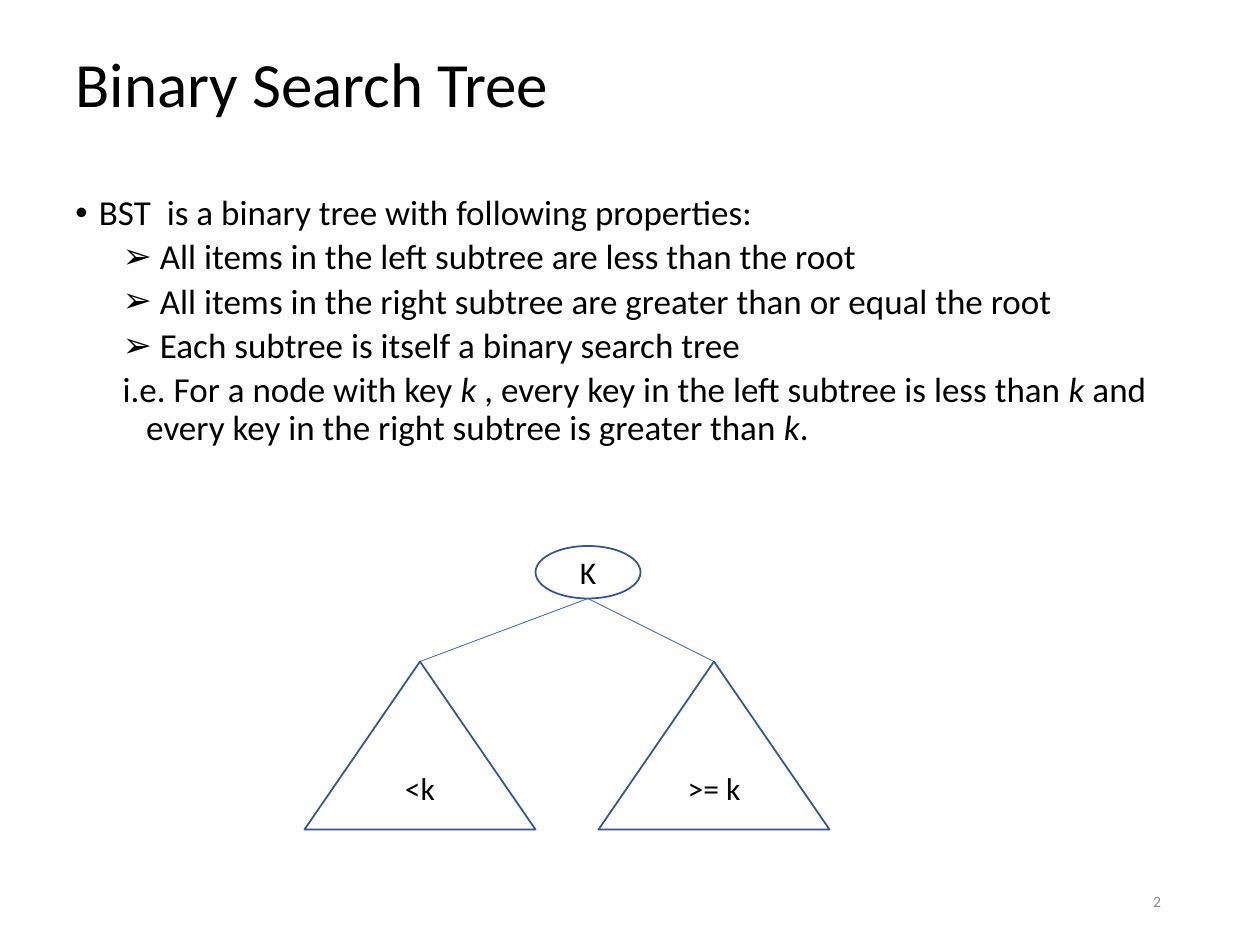
import collections

import pptx
import pptx.dml.color
import pptx.enum.shapes
import pptx.enum.text
import pptx.oxml.ns
import pptx.util
from lxml import etree

Pt = pptx.util.Pt
Align = pptx.enum.text.PP_ALIGN
Anchor = pptx.enum.text.MSO_ANCHOR
Shape = pptx.enum.shapes.MSO_SHAPE
Color = pptx.dml.color.RGBColor
qn = pptx.oxml.ns.qn

BLACK = Color(0x00, 0x00, 0x00)
GRAY = Color(0x8C, 0x8C, 0x8C)
OUTLINE = Color(0x32, 0x54, 0x91)
BRANCH = Color(0x44, 0x72, 0xC4)
FONT = "Calibri"

Box = collections.namedtuple("Box", "left top width height")

PROPERTIES = [
    (0, "•", ["BST  is a binary tree with following properties:"]),
    (1, "➢", [" All items in the left subtree are less than the root"]),
    (1, "➢", [" All items in the right subtree are greater than or equal the root"]),
    (1, "➢", [" Each subtree is itself a binary search tree"]),
    (1, None, ["i.e. For a node with key ", "k ",
               ", every key in the left subtree is less than ", "k ",
               "and every key in the right subtree is greater than ", "k", "."]),
]


def in_points(box):
    return [Pt(length) for length in box]


def style(para, size, color=BLACK, align=Align.LEFT):
    para.font.name = FONT
    para.font.size = Pt(size)
    para.font.color.rgb = color
    para.alignment = align


def add_title(page, box):
    title = page.shapes.title
    title.left, title.top, title.width, title.height = in_points(box)
    frame = title.text_frame
    frame.text = "Binary Search Tree"
    frame.auto_size = pptx.enum.text.MSO_AUTO_SIZE.NONE
    frame.vertical_anchor = Anchor.MIDDLE
    para = frame.paragraphs[0]
    para.line_spacing = 0.9
    style(para, 36)


def hang(para, margin, bullet):
    properties = para._p.get_or_add_pPr()
    properties.set("marL", str(Pt(margin)))
    properties.set("indent", str(Pt(-13.5)))
    if bullet:
        etree.SubElement(properties, qn("a:buFont"), typeface="Arial")
        etree.SubElement(properties, qn("a:buChar"), char=bullet)


def add_properties(page, box):
    frame = page.shapes.add_textbox(*in_points(box)).text_frame
    frame.word_wrap = True
    for index, (level, bullet, parts) in enumerate(PROPERTIES):
        para = frame.add_paragraph() if index else frame.paragraphs[0]
        para.level = level
        para.line_spacing = 0.9
        para.space_before = Pt(3.75 if level else 7.5)
        style(para, 20)
        hang(para, 13.5 + 27 * level, bullet)
        for position, text in enumerate(parts):
            span = para.add_run()
            span.text = text
            if position % 2:
                span.font.italic = True


def add_node(page, kind, box, text):
    node = page.shapes.add_shape(kind, *in_points(box))
    node.shadow.inherit = False
    node.fill.background()
    node.line.color.rgb = OUTLINE
    node.line.width = Pt(1)
    frame = node.text_frame
    frame.text = text
    frame.vertical_anchor = Anchor.MIDDLE
    style(frame.paragraphs[0], 18, align=Align.CENTER)


def add_branch(page, start, end):
    branch = page.shapes.add_connector(
        pptx.enum.shapes.MSO_CONNECTOR.STRAIGHT, *in_points(start + end))
    branch.line.color.rgb = BRANCH
    branch.line.width = Pt(0.5)
    etree.SubElement(branch._element.spPr, qn("a:effectLst"))


def add_tree(page, box):
    subtree_width, subtree_height = 132, 96
    subtree_top = box.top + box.height - subtree_height
    root = Box(box.left + subtree_width, box.top, 60, 30)
    root_foot = (root.left + root.width / 2, root.top + root.height)
    add_node(page, Shape.OVAL, root, "K")
    lefts = (box.left, box.left + box.width - subtree_width)
    for left, text in zip(lefts, ("<k", ">= k")):
        add_branch(page, root_foot, (left + subtree_width / 2, subtree_top))
        subtree = Box(left, subtree_top, subtree_width, subtree_height)
        add_node(page, Shape.ISOSCELES_TRIANGLE, subtree, text)


def add_page_number(page, box):
    frame = page.shapes.add_textbox(*in_points(box)).text_frame
    frame.word_wrap = True
    frame.vertical_anchor = Anchor.MIDDLE
    frame.text = "2"
    style(frame.paragraphs[0], 9, GRAY, Align.RIGHT)


def main():
    deck = pptx.Presentation()
    deck.slide_width, deck.slide_height = Pt(720), Pt(540)
    page = deck.slides.add_slide(deck.slide_layouts.get_by_name("Title Only"))
    add_title(page, Box(36, 33.75, 648, 32.5))
    add_properties(page, Box(36, 108, 648, 198))
    add_page_number(page, Box(508.5, 500.5, 162, 28.75))
    add_tree(page, Box(174, 312, 300, 162))
    deck.save("out.pptx")


if __name__ == "__main__":
    main()
